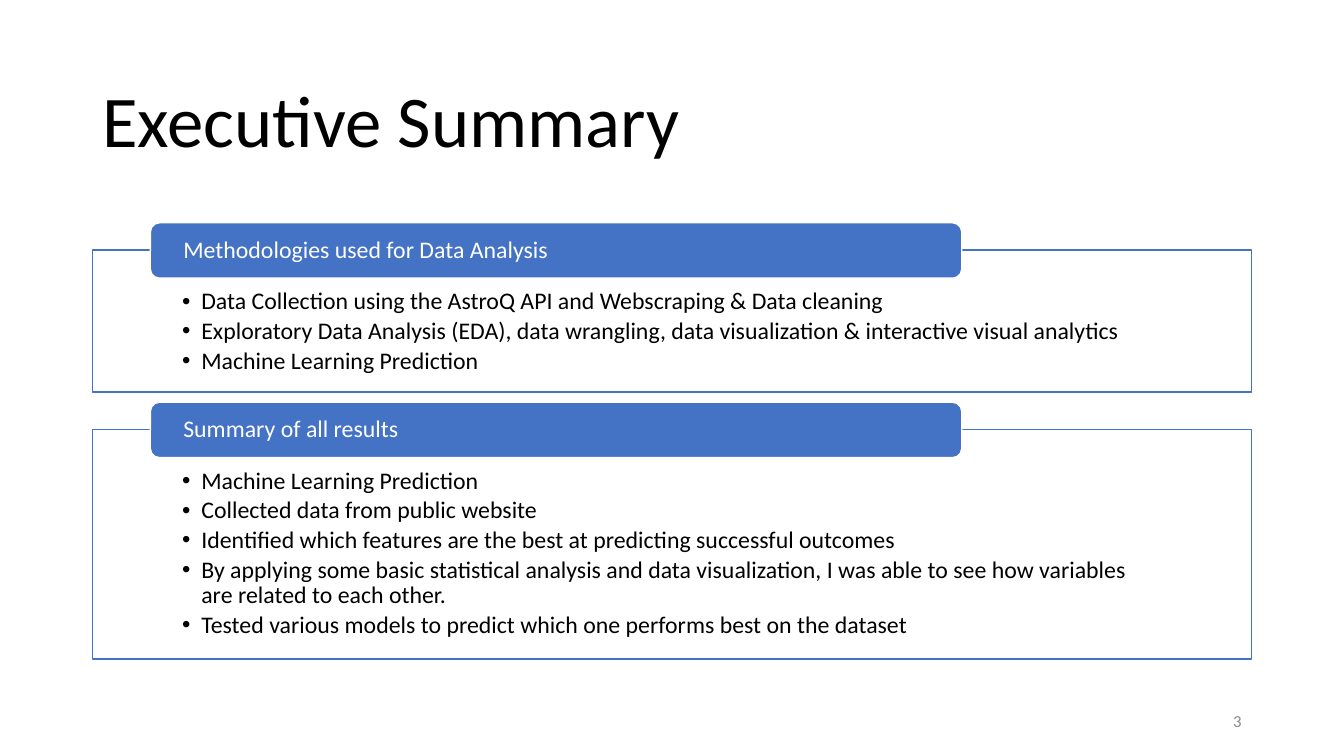
from dataclasses import dataclass

from lxml import etree
from pptx import Presentation
from pptx import util as u
from pptx.dml.color import RGBColor
from pptx.enum import shapes, text
from pptx.oxml import ns


@dataclass(frozen=True)
class Theme:
    font: str = "Calibri"
    ink: str = "000000"
    paper: str = "FFFFFF"
    blue: str = "4472C4"
    grey: str = "8C8C8C"
    title: int = 52
    body: int = 17
    small: int = 12


COLS, ROWS = 160, 90
LEFT, WIDE = 11, 138
TAB_LEFT, TAB_WIDE, TAB_HIGH, TAB_RISE = 17.9, 96.6, 6.6, 3.24
TOP, GAP = 29.76, 4.44

PANELS = [
    ("Methodologies used for Data Analysis", 16.92, [
        "Data Collection using the AstroQ API and Webscraping\u00a0& Data cleaning",
        "Exploratory Data Analysis (EDA), data wrangling, "
        "data visualization & interactive visual analytics",
        "Machine Learning Prediction",
    ]),
    ("Summary of all results", 27.36, [
        "Machine Learning Prediction",
        "Collected data from public website",
        "Identified which features are the best at predicting successful outcomes",
        "By applying some basic statistical analysis and data visualization, "
        "I was able to see how variables are related to each other.",
        "Tested various models to predict which one performs best on the dataset",
    ]),
]
PANELS[0][2][0] = PANELS[0][2][0].replace("\u00a0", " ")


def add_dot(para, hang=0.19):
    """Give a paragraph a round bullet with a hanging indent."""
    props = para._p.get_or_add_pPr()
    props.set("marL", str(u.Inches(hang)))
    props.set("indent", str(-u.Inches(hang)))
    etree.SubElement(props, ns.qn("a:buFont")).set("typeface", "Arial")
    etree.SubElement(props, ns.qn("a:buChar")).set("char", "•")


def typeset(shape, lines, *, font, size, color, unit, inset=(1.2, 0.6, 1.2, 0.6),
            anchor=text.MSO_ANCHOR.MIDDLE, align=text.PP_ALIGN.LEFT,
            dots=False, after=0, pitch=0.9):
    """Fill a shape with paragraphs; inset is left, top, right, bottom in cells."""
    frame = shape.text_frame
    frame.word_wrap = True
    frame.vertical_anchor = anchor
    (frame.margin_left, frame.margin_top,
     frame.margin_right, frame.margin_bottom) = [int(n * unit) for n in inset]
    for i, line in enumerate(lines):
        para = frame.add_paragraph() if i else frame.paragraphs[0]
        if dots:
            add_dot(para)
        para.alignment = align
        para.line_spacing = pitch
        para.space_after = u.Pt(after)
        run = para.add_run()
        run.text = line
        run.font.name = font
        run.font.size = u.Pt(size)
        run.font.color.rgb = RGBColor.from_string(color)


class Deck:
    """Hold the theme, the grid and the current slide."""

    def __init__(self, theme):
        self.theme = theme
        self.show = Presentation()
        self.show.slide_width = u.Inches(13.33)
        self.show.slide_height = u.Inches(7.5)
        self.cell = self.show.slide_height / ROWS
        self.slide = self.show.slides.add_slide(self.show.slide_layouts[6])

    def place(self, *box):
        """Turn left, top, width and height in cells into slide lengths."""
        spans = (self.show.slide_width / COLS, self.cell) * 2
        return [int(n * span) for n, span in zip(box, spans)]

    def words(self, shape, lines, **style):
        typeset(shape, lines, font=self.theme.font, unit=self.cell, **style)

    def label(self, line, box, **style):
        self.words(self.slide.shapes.add_textbox(*self.place(*box)), [line], **style)

    def block(self, kind, box, fill, edge):
        shape = self.slide.shapes.add_shape(kind, *self.place(*box))
        shape.shadow.inherit = False
        shape.fill.solid()
        shape.fill.fore_color.rgb = RGBColor.from_string(fill)
        shape.line.color.rgb = RGBColor.from_string(edge)
        shape.line.width = u.Pt(1)
        return shape

    def panel(self, head, points, top, high):
        """Draw a framed list with a title tab over its top edge."""
        look = self.theme
        frame = self.block(shapes.MSO_SHAPE.RECTANGLE, (LEFT, top, WIDE, high),
                           look.paper, look.blue)
        self.words(frame, points, size=look.body, color=look.ink, dots=True,
                   after=2.8, inset=(10.68, 4.68, 10.68, 1.56),
                   anchor=text.MSO_ANCHOR.TOP)
        tab = self.block(shapes.MSO_SHAPE.ROUNDED_RECTANGLE,
                         (TAB_LEFT, top - TAB_RISE, TAB_WIDE, TAB_HIGH),
                         look.blue, look.paper)
        self.words(tab, [head], size=look.body, color=look.paper,
                   inset=(3.6, 0, 3.6, 0))


def main():
    look = Theme()
    deck = Deck(look)
    deck.label("Executive Summary", (LEFT, 7.32, WIDE, 14.88),
               size=look.title, color=look.ink)
    deck.label("3", (LEFT + WIDE - 36, 83.4, 36, 4.8), size=look.small,
               color=look.grey, align=text.PP_ALIGN.RIGHT, pitch=1.0)
    top = TOP
    for head, high, points in PANELS:
        deck.panel(head, points, top, high)
        top += high + GAP
    deck.show.save("out.pptx")


if __name__ == "__main__":
    main()
